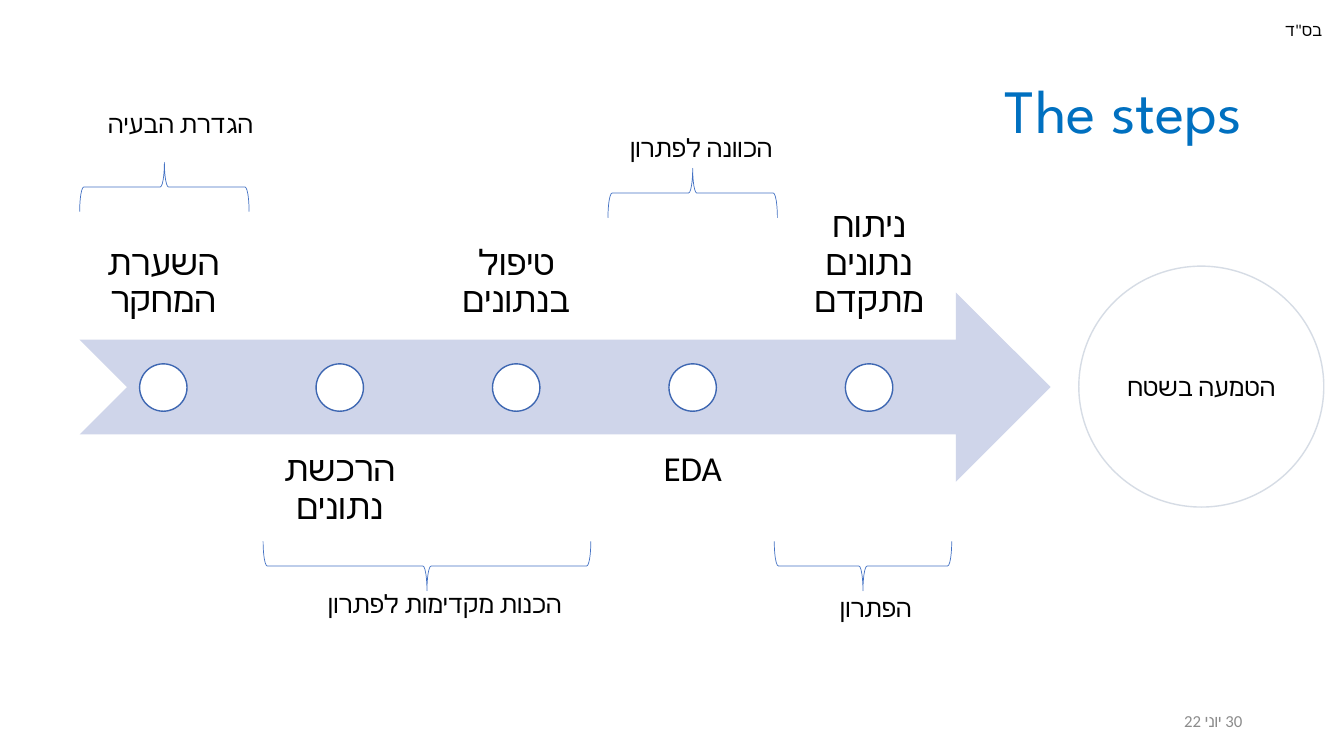
from dataclasses import dataclass

from lxml.etree import SubElement
from pptx import Presentation
from pptx.dml.color import RGBColor
from pptx.enum.shapes import MSO_SHAPE
from pptx.enum.text import MSO_ANCHOR, MSO_AUTO_SIZE, PP_ALIGN
from pptx.oxml.ns import qn
from pptx.util import Inches, Pt


@dataclass(frozen=True)
class Theme:
    body_font: str = "Calibri"
    title_font: str = "League Spartan"
    black: str = "000000"
    white: str = "FFFFFF"
    title_blue: str = "0070C0"
    date_gray: str = "8C8C8C"
    arrow_fill: str = "CFD5EA"
    dot_line: str = "3E67B2"
    brace_line: str = "4472C4"
    circle_line: str = "D6DCE5"
    title_size: float = 44
    step_size: float = 25
    label_size: float = 18
    small_size: float = 12


class SlideBuilder:
    def __init__(self, slide, theme):
        self.slide = slide
        self.theme = theme

    def fill_text(self, shape, text, size, color=None, font=None,
                  align=PP_ALIGN.RIGHT, spacing=None, **frame_format):
        frame = shape.text_frame
        frame_values = {"word_wrap": True, **frame_format}
        for name, value in frame_values.items():
            setattr(frame, name, value)
        paragraph = frame.paragraphs[0]
        paragraph.alignment = align
        paragraph.line_spacing = spacing
        paragraph._p.get_or_add_pPr().set("rtl", "1")
        run = paragraph.add_run()
        run.text = text
        font_values = {"size": Pt(size), "name": font or self.theme.body_font}
        for name, value in font_values.items():
            setattr(run.font, name, value)
        run.font.color.rgb = RGBColor.from_string(color or self.theme.black)
        # Hebrew letters use the complex script font
        SubElement(run._r.get_or_add_rPr(), qn("a:cs"), typeface=font_values["name"])

    def text(self, box, text, size, **text_format):
        shape = self.slide.shapes.add_textbox(*map(Inches, box))
        self.fill_text(shape, text, size, **text_format)

    def shape(self, kind, box, fill=None, line=None, line_width=1):
        shape = self.slide.shapes.add_shape(kind, *map(Inches, box))
        shape.shadow.inherit = False
        if fill:
            shape.fill.solid()
            shape.fill.fore_color.rgb = RGBColor.from_string(fill)
        else:
            shape.fill.background()
        if line:
            shape.line.color.rgb = RGBColor.from_string(line)
            shape.line.width = Pt(line_width)
        else:
            shape.line.fill.background()
        return shape

    def brace(self, left, top, width, rotation):
        """Lay a left brace on its side so it spans width from left, top."""
        depth = 0.49
        offset = (width - depth) / 2
        box = (left + offset, top - offset, depth, width)
        brace = self.shape(MSO_SHAPE.LEFT_BRACE, box,
                           line=self.theme.brace_line, line_width=0.5)
        brace.rotation = rotation


theme = Theme()
presentation = Presentation()
presentation.slide_width = Inches(13.33)
presentation.slide_height = Inches(7.5)
builder = SlideBuilder(presentation.slides.add_slide(presentation.slide_layouts[6]), theme)

# Header and date
builder.text((12.42, 0.15, 0.79, 0.3), "בס\"ד", theme.small_size)
builder.text((0.92, 0.4, 11.5, 1.45), "The steps", theme.title_size,
             color=theme.title_blue, font=theme.title_font, spacing=0.9,
             vertical_anchor=MSO_ANCHOR.MIDDLE)
builder.text((9.42, 6.95, 3, 0.4), "30 יוני 22", theme.small_size,
             color=theme.date_gray, vertical_anchor=MSO_ANCHOR.MIDDLE)

# Timeline arrow with steps alternating above and below
builder.shape(MSO_SHAPE.NOTCHED_RIGHT_ARROW, (0.79, 2.9, 9.63, 1.88), fill=theme.arrow_fill)
steps = ["השערת המחקר", "הרכשת נתונים", "טיפול בנתונים", "EDA", "ניתוח נתונים מתקדם"]
step_left, step_pitch, step_width, dot_size = 0.79, 1.75, 1.66, 0.47
step_margins = {f"margin_{side}": Inches(0.19) for side in ("left", "top", "right", "bottom")}
for index, step in enumerate(steps):
    left = step_left + index * step_pitch
    above = index % 2 == 0
    builder.text((left, 1.49 if above else 4.29, step_width, 1.88), step, theme.step_size,
                 align=PP_ALIGN.CENTER, spacing=0.9,
                 vertical_anchor=MSO_ANCHOR.BOTTOM if above else MSO_ANCHOR.TOP,
                 **step_margins)
    builder.shape(MSO_SHAPE.OVAL,
                  (left + (step_width - dot_size) / 2, 3.61, dot_size, dot_size),
                  fill=theme.white, line=theme.dot_line)

# Outcome circle
outcome = builder.shape(MSO_SHAPE.OVAL, (10.7, 2.64, 2.43, 2.39),
                        fill=theme.white, line=theme.circle_line)
builder.fill_text(outcome, "הטמעה בשטח", theme.label_size, align=PP_ALIGN.CENTER,
                  vertical_anchor=MSO_ANCHOR.MIDDLE)

# Phase braces and labels: brace left, top, width, rotation; label box; wrap
phases = [
    ("הגדרת הבעיה", (0.79, 1.61, 1.68, 90), (0.79, 1.03, 1.82, 0.4), False),
    ("הכנות מקדימות לפתרון", (2.61, 5.37, 3.25, 270), (2.8, 5.79, 2.87, 0.4), False),
    ("הכוונה לפתרון", (6.03, 1.67, 1.68, 90), (5.96, 1.26, 1.8, 0.4), False),
    ("הפתרון", (7.68, 5.37, 1.76, 270), (7.59, 5.83, 1.55, 0.4), True),
]
for label, brace, box, wrap in phases:
    builder.brace(*brace)
    builder.text(box, label, theme.label_size, word_wrap=wrap,
                 auto_size=MSO_AUTO_SIZE.SHAPE_TO_FIT_TEXT)

presentation.save("out.pptx")
